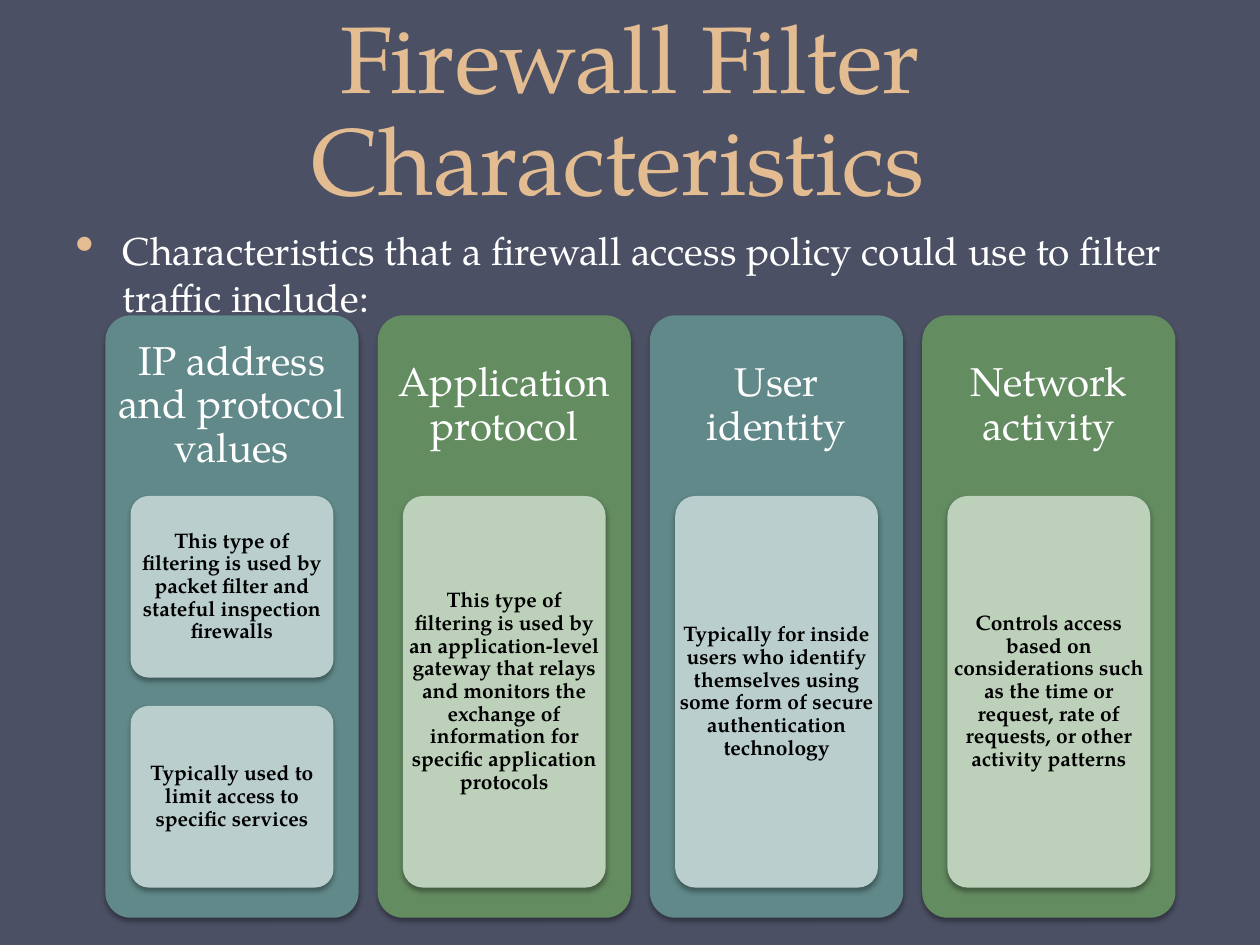
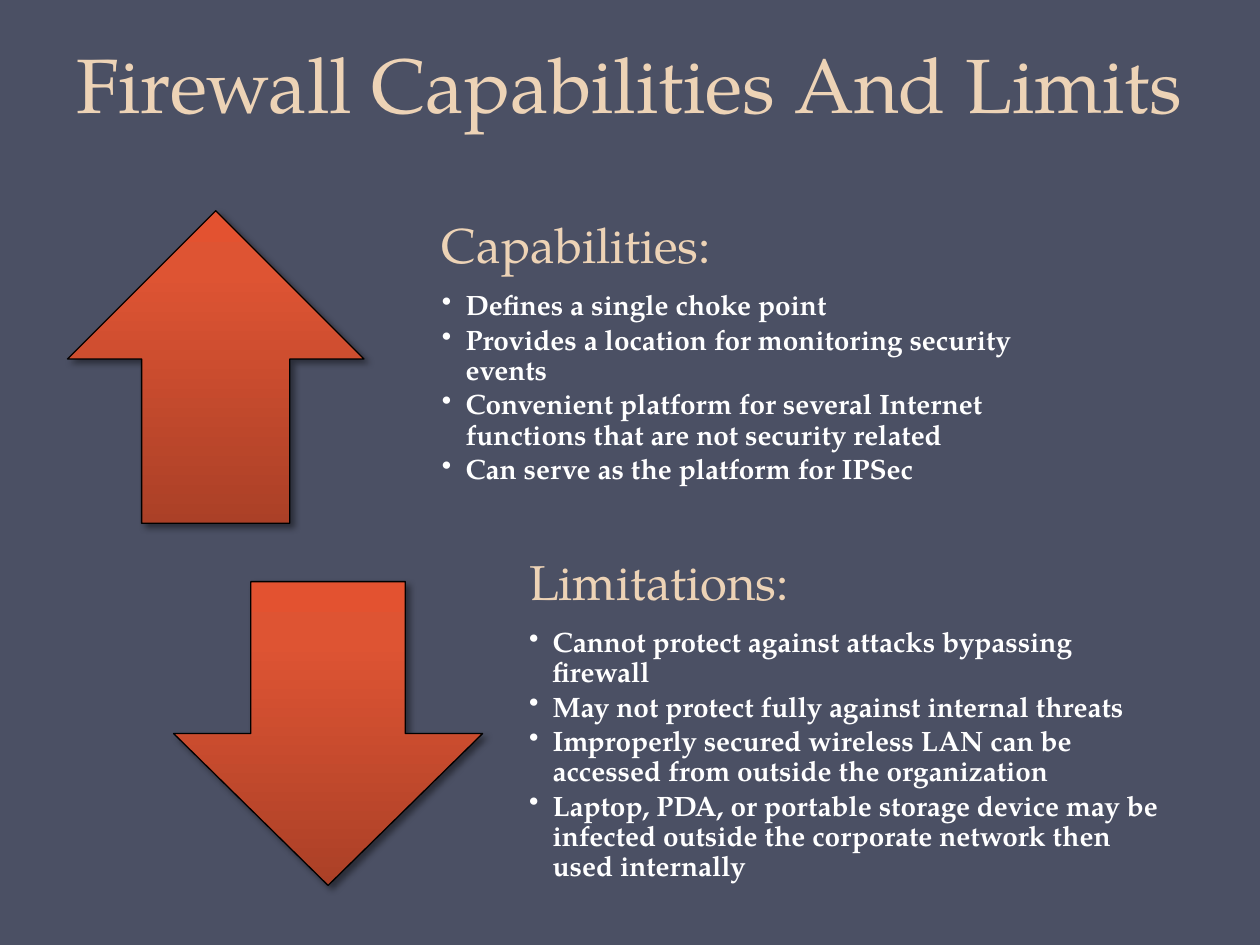
from copy import deepcopy
from dataclasses import dataclass

from pptx import Presentation
from pptx.dml.color import RGBColor
from pptx.enum import shapes, text
from pptx.oxml import parse_xml
from pptx.oxml.ns import nsdecls, qn
from pptx.util import Pt


@dataclass(frozen=True)
class Theme:
    font: str = "TeX Gyre Pagella"
    background: str = "4B5064"
    tan: str = "E3BC92"
    pale_tan: str = "EDD3B6"
    white: str = "FFFFFF"
    black: str = "000000"
    teal: tuple = ("61898A", "BACECE")   # column, card
    green: tuple = ("648C61", "BCD0BA")
    arrow: tuple = ((0, "AB4027"), (0.8, "DE5433"), (1, "E35230"))
    title_large: float = 54
    title: float = 44
    section: float = 28
    column: float = 23
    intro: float = 22.2
    point: float = 16
    card: float = 12


THEME = Theme()
UP, DOWN = shapes.MSO_SHAPE.UP_ARROW, shapes.MSO_SHAPE.DOWN_ARROW
CENTER = text.PP_ALIGN.CENTER
MIDDLE = text.MSO_ANCHOR.MIDDLE

# Content
FILTER_TITLE = "Firewall Filter Characteristics "
FILTER_INTRO = ("Characteristics that a firewall access policy could use "
                "to filter traffic include:")
FILTERS = [
    ("IP address and protocol values", [
        "This type of filtering is used by packet filter and stateful "
        "inspection firewalls",
        "Typically used to limit access to specific services"]),
    ("Application protocol", [
        "This type of filtering is used by an application-level gateway that "
        "relays and monitors the exchange of information for specific "
        "application protocols"]),
    ("User identity", [
        "Typically for inside users who identify themselves using some form "
        "of secure authentication technology"]),
    ("Network activity", [
        "Controls access based on considerations such as the time or request, "
        "rate of requests, or other activity patterns"]),
]

LIMITS_TITLE = "Firewall Capabilities And Limits"
# Heading, points, arrow shape, arrow box, text box
SECTIONS = [
    ("Capabilities:", [
        "Defines a single choke point",
        "Provides a location for monitoring security events",
        "Convenient platform for several Internet functions that are not "
        "security related",
        "Can serve as the platform for IPSec"],
     UP, (38.6, 120.4, 169.4, 178.6), (236.9, 113, 362.9, 193.7)),
    ("Limitations:", [
        "Cannot protect against attacks bypassing firewall",
        "May not protect fully against internal threats",
        "Improperly secured wireless LAN can be accessed from outside the "
        "organization",
        "Laptop, PDA, or portable storage device may be infected outside the "
        "corporate network then used internally"],
     DOWN, (99.2, 332.4, 176.6, 173.6), (286.6, 304.6, 397.4, 229.7)),
]

# Column grid
COLUMN_LEFT, COLUMN_STEP, COLUMN_WIDTH = 60.2, 155.6, 144.7
COLUMN_TOP, COLUMN_HEIGHT, HEADING_HEIGHT = 180.2, 344.2, 103.2
CARD_INSET, CARDS_HEIGHT, CARD_GAP = 14.4, 223.8, 16.2


def rgb(color):
    return RGBColor.from_string(color)


def box(values):
    return [Pt(value) for value in values]


def write(frame, words, *, size, color, bold=False, align=None, spacing=None,
          after=0, indent=0, bullet_color=None, bullet_size=100):
    """Add one paragraph, using the frame's first one while it is empty."""
    first = frame.paragraphs[0]
    paragraph = frame.add_paragraph() if first.runs else first
    if indent:
        properties = paragraph._p.get_or_add_pPr()
        properties.set("marL", str(Pt(indent)))
        properties.set("indent", str(-Pt(indent)))
        for xml in (
                f'<a:buClr {nsdecls("a")}><a:srgbClr val="{bullet_color or color}"/></a:buClr>',
                f'<a:buSzPct {nsdecls("a")} val="{bullet_size * 1000}"/>',
                f'<a:buChar {nsdecls("a")} char="•"/>'):
            properties.append(parse_xml(xml))
    paragraph.alignment = align
    paragraph.line_spacing = spacing
    paragraph.space_after = Pt(after)
    run = paragraph.add_run()
    run.text = words
    run.font.name = THEME.font
    run.font.size = Pt(size)
    run.font.bold = bold
    run.font.color.rgb = rgb(color)


def add_frame(slide, place, margins, anchor=MIDDLE):
    frame = slide.shapes.add_textbox(*box(place)).text_frame
    frame.word_wrap = True
    frame.vertical_anchor = anchor
    (frame.margin_left, frame.margin_top,
     frame.margin_right, frame.margin_bottom) = box(margins)
    return frame


def add_shadow(shape, *, alpha, blur, distance, angle):
    shape.shadow.inherit = False
    effects = shape._element.spPr.find(qn("a:effectLst"))
    effects.append(parse_xml(
        f'<a:outerShdw {nsdecls("a")} blurRad="{Pt(blur)}" dist="{Pt(distance)}" '
        f'dir="{angle * 60000}" algn="ctr" rotWithShape="0">'
        f'<a:srgbClr val="{THEME.black}"><a:alpha val="{alpha * 1000}"/>'
        '</a:srgbClr></a:outerShdw>'))


def add_panel(slide, place, color):
    panel = slide.shapes.add_shape(
        shapes.MSO_SHAPE.ROUNDED_RECTANGLE, *box(place))
    panel.adjustments[0] = 0.1
    panel.fill.solid()
    panel.fill.fore_color.rgb = rgb(color)
    panel.line.fill.background()
    add_shadow(panel, alpha=35, blur=3.1, distance=1.8, angle=90)


def add_arrow(slide, kind, place):
    arrow = slide.shapes.add_shape(kind, *box(place))
    arrow.fill.gradient()
    arrow.fill.gradient_angle = 90
    stop_list = arrow._element.spPr.find(qn("a:gradFill")).find(qn("a:gsLst"))
    stop_list.append(deepcopy(stop_list[0]))
    for stop, (position, color) in zip(arrow.fill.gradient_stops, THEME.arrow):
        stop.position = position
        stop.color.rgb = rgb(color)
    arrow.line.color.rgb = rgb(THEME.black)
    arrow.line.width = Pt(0.75)
    add_shadow(arrow, alpha=43, blur=4, distance=3, angle=45)


def add_titled_slide(deck, words, *, height, size, color):
    slide = deck.slides.add_slide(deck.slide_layouts[5])
    title = slide.shapes.title
    title.left, title.top, title.width, title.height = box((36, 0, 648, height))
    frame = title.text_frame
    frame.auto_size = text.MSO_AUTO_SIZE.NONE
    frame.vertical_anchor = text.MSO_ANCHOR.BOTTOM
    write(frame, words, size=size, color=color, align=CENTER, spacing=Pt(58))
    return slide


def build_filters(deck):
    slide = add_titled_slide(deck, FILTER_TITLE, height=126,
                             size=THEME.title_large, color=THEME.tan)
    intro = add_frame(slide, (36, 126, 648, 54), (7.2, 3.6, 7.2, 3.6),
                      text.MSO_ANCHOR.TOP)
    write(intro, FILTER_INTRO, size=THEME.intro, color=THEME.white,
          indent=27, bullet_color=THEME.tan, bullet_size=140)

    # Columns, each with a heading and its cards
    for index, (heading, cards) in enumerate(FILTERS):
        column_color, card_color = (THEME.teal, THEME.green)[index % 2]
        left = COLUMN_LEFT + index * COLUMN_STEP
        add_panel(slide, (left, COLUMN_TOP, COLUMN_WIDTH, COLUMN_HEIGHT),
                  column_color)
        heading_frame = add_frame(
            slide, (left, COLUMN_TOP, COLUMN_WIDTH, HEADING_HEIGHT), (7.2,) * 4)
        write(heading_frame, heading, size=THEME.column, color=THEME.white,
              align=CENTER, spacing=0.9)

        card_height = (CARDS_HEIGHT - CARD_GAP * (len(cards) - 1)) / len(cards)
        for row, card in enumerate(cards):
            top = COLUMN_TOP + HEADING_HEIGHT + row * (card_height + CARD_GAP)
            place = (left + CARD_INSET, top,
                     COLUMN_WIDTH - 2 * CARD_INSET, card_height)
            add_panel(slide, place, card_color)
            write(add_frame(slide, place, (2.2,) * 4), card, size=THEME.card,
                  color=THEME.black, bold=True, align=CENTER, spacing=0.9)


def build_limits(deck):
    slide = add_titled_slide(deck, LIMITS_TITLE, height=77,
                             size=THEME.title, color=THEME.pale_tan)
    for heading, points, arrow, arrow_place, text_place in SECTIONS:
        add_arrow(slide, arrow, arrow_place)
        frame = add_frame(slide, text_place, (15.7, 0, 15.7, 15.7))
        write(frame, heading, size=THEME.section, color=THEME.pale_tan,
              spacing=0.9, after=9.8)
        for point in points:
            write(frame, point, size=THEME.point, color=THEME.white, bold=True,
                  spacing=0.9, after=2.4, indent=13.5)


def main():
    deck = Presentation()
    deck.slide_width, deck.slide_height = Pt(720), Pt(540)
    background = deck.slide_master.background.fill
    background.solid()
    background.fore_color.rgb = rgb(THEME.background)
    build_filters(deck)
    build_limits(deck)
    deck.save("out.pptx")


if __name__ == "__main__":
    main()
